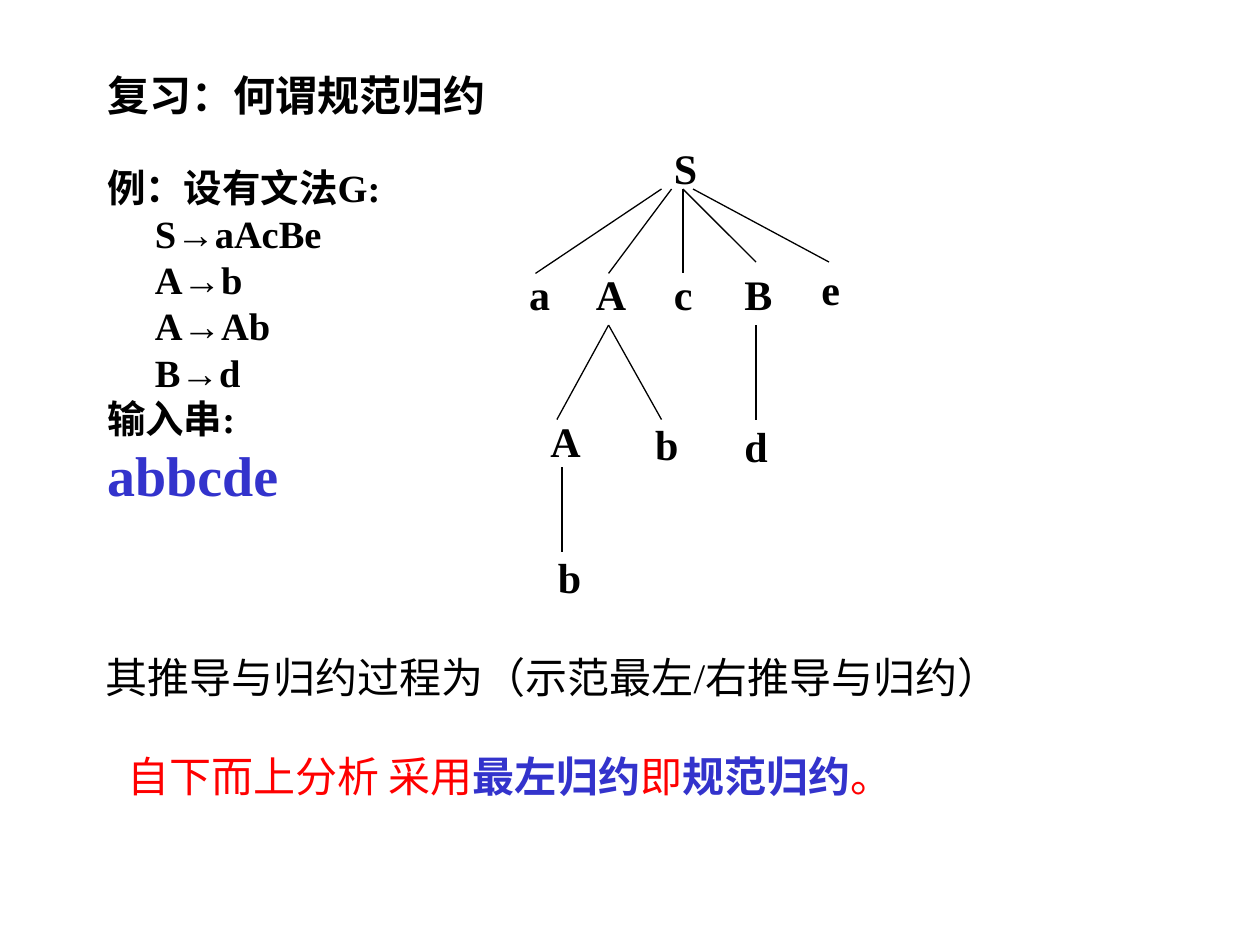
from dataclasses import dataclass
from typing import Optional

from lxml import etree
from pptx import Presentation
from pptx.dml.color import RGBColor
from pptx.enum import shapes, text
from pptx.oxml.ns import qn
from pptx.util import Inches, Pt


@dataclass(frozen=True)
class Theme:
    ink: RGBColor = RGBColor(0, 0, 0)
    accent: RGBColor = RGBColor(0x33, 0x33, 0xCC)
    warning: RGBColor = RGBColor(0xFF, 0, 0)
    font: str = "Times New Roman"
    arrow_font: str = "Arial"
    heading: int = 24
    grammar: int = 22
    sentence: int = 32
    line: float = 0.75


@dataclass(frozen=True)
class Node:
    symbol: str
    left: float
    top: float


@dataclass(frozen=True)
class Branch:
    x1: float
    y1: float
    x2: float
    y2: float


@dataclass(frozen=True)
class Piece:
    words: str
    color: Optional[RGBColor] = None
    bold: Optional[bool] = None
    font: Optional[str] = None


THEME = Theme()
RULES = [("S", "aAcBe"), ("A", "b"), ("A", "Ab"), ("B", "d")]
NODES = [
    Node("S", 5.25, 1.08),
    Node("a", 4.1, 2.08), Node("A", 4.63, 2.08), Node("c", 5.25, 2.08),
    Node("B", 5.81, 2.08), Node("e", 6.42, 2.04),
    Node("A", 4.27, 3.25), Node("b", 5.1, 3.27), Node("d", 5.81, 3.29),
    Node("b", 4.33, 4.33),
]
BRANCHES = [
    Branch(5.25, 1.5, 4.25, 2.17), Branch(5.33, 1.5, 4.83, 2.17),
    Branch(5.42, 1.5, 5.42, 2.17), Branch(5.42, 1.5, 6, 2.08),
    Branch(5.5, 1.5, 6.58, 2.08),
    Branch(4.83, 2.58, 4.42, 3.33), Branch(4.83, 2.58, 5.25, 3.33),
    Branch(6, 2.58, 6, 3.33), Branch(4.46, 3.71, 4.46, 4.38),
]


def place(shape, left: float, top: float, width: float, height: float) -> None:
    shape.left, shape.top = Inches(left), Inches(top)
    shape.width, shape.height = Inches(width), Inches(height)


def prepare(frame, wrap: bool = True) -> None:
    frame.word_wrap = wrap
    frame.auto_size = text.MSO_AUTO_SIZE.NONE
    frame.vertical_anchor = text.MSO_ANCHOR.TOP


def write(paragraph, pieces: list[Piece], size: int, bold: bool,
          color: RGBColor = THEME.ink, indent: float = 0, before: float = 0) -> None:
    """Fill an unbulleted, left-aligned paragraph; pieces hold only what differs."""
    properties = paragraph._p.get_or_add_pPr()
    properties.set("marL", str(Inches(indent)))
    properties.set("indent", "0")
    etree.SubElement(properties, qn("a:buNone"))
    paragraph.alignment = text.PP_ALIGN.LEFT
    paragraph.space_before = Pt(before)
    font = paragraph.font
    font.name, font.size, font.bold = THEME.font, Pt(size), bold
    font.color.rgb = color
    for piece in pieces:
        run = paragraph.add_run()
        run.text = piece.words
        if piece.color is not None:
            run.font.color.rgb = piece.color
        if piece.bold is not None:
            run.font.bold = piece.bold
        if piece.font is not None:
            run.font.name = piece.font


def add_node(slide, node: Node) -> None:
    box = slide.shapes.add_textbox(Inches(node.left), Inches(node.top),
                                   Inches(0.58), Inches(0.5))
    prepare(box.text_frame)
    write(box.text_frame.paragraphs[0], [Piece(node.symbol)], THEME.heading, True)


def add_branch(slide, branch: Branch) -> None:
    line = slide.shapes.add_connector(
        shapes.MSO_CONNECTOR.STRAIGHT, Inches(branch.x1), Inches(branch.y1),
        Inches(branch.x2), Inches(branch.y2))
    line.line.color.rgb = THEME.ink
    line.line.width = Pt(THEME.line)
    etree.SubElement(line._element.spPr, qn("a:effectLst"))


def add_grammar(body) -> None:
    place(body, 0.75, 1.25, 3.17, 2.84)
    frame = body.text_frame
    prepare(frame)
    write(frame.paragraphs[0], [Piece("例：设有文法G:")], THEME.grammar, True)
    for left_side, right_side in RULES:
        rule = [Piece(left_side), Piece("→", font=THEME.arrow_font), Piece(right_side)]
        write(frame.add_paragraph(), rule, THEME.grammar, True, indent=0.38)
    write(frame.add_paragraph(), [Piece("输入串:")], THEME.grammar, True)
    write(frame.add_paragraph(), [Piece("abbcde")], THEME.sentence, True, THEME.accent)


def add_conclusion(slide) -> None:
    box = slide.shapes.add_textbox(Inches(0.74), Inches(5.12), Inches(7.45), Inches(1.3))
    frame = box.text_frame
    prepare(frame, wrap=False)
    write(frame.paragraphs[0], [Piece("其推导与归约过程为（示范最左/右推导与归约）")],
          THEME.heading, False)
    statement = [
        Piece("自下而上分析 采用"), Piece("最左归约", THEME.accent, True),
        Piece("即"), Piece("规范归约", THEME.accent, True), Piece("。"),
    ]
    write(frame.add_paragraph(), statement, THEME.heading, False, THEME.warning,
          indent=0.17, before=28)


def main() -> None:
    deck = Presentation()
    deck.slide_width, deck.slide_height = Inches(10), Inches(7.5)
    slide = deck.slides.add_slide(deck.slide_layouts[1])

    # Title
    title = slide.shapes.title
    place(title, 0.75, 0.5, 4.67, 0.5)
    prepare(title.text_frame)
    write(title.text_frame.paragraphs[0], [Piece("复习：何谓规范归约")], THEME.heading, True)

    # Grammar and input string
    add_grammar(slide.placeholders[1])

    # Syntax tree
    for branch in BRANCHES:
        add_branch(slide, branch)
    for node in NODES:
        add_node(slide, node)

    # Conclusion
    add_conclusion(slide)
    deck.save("out.pptx")


if __name__ == "__main__":
    main()
